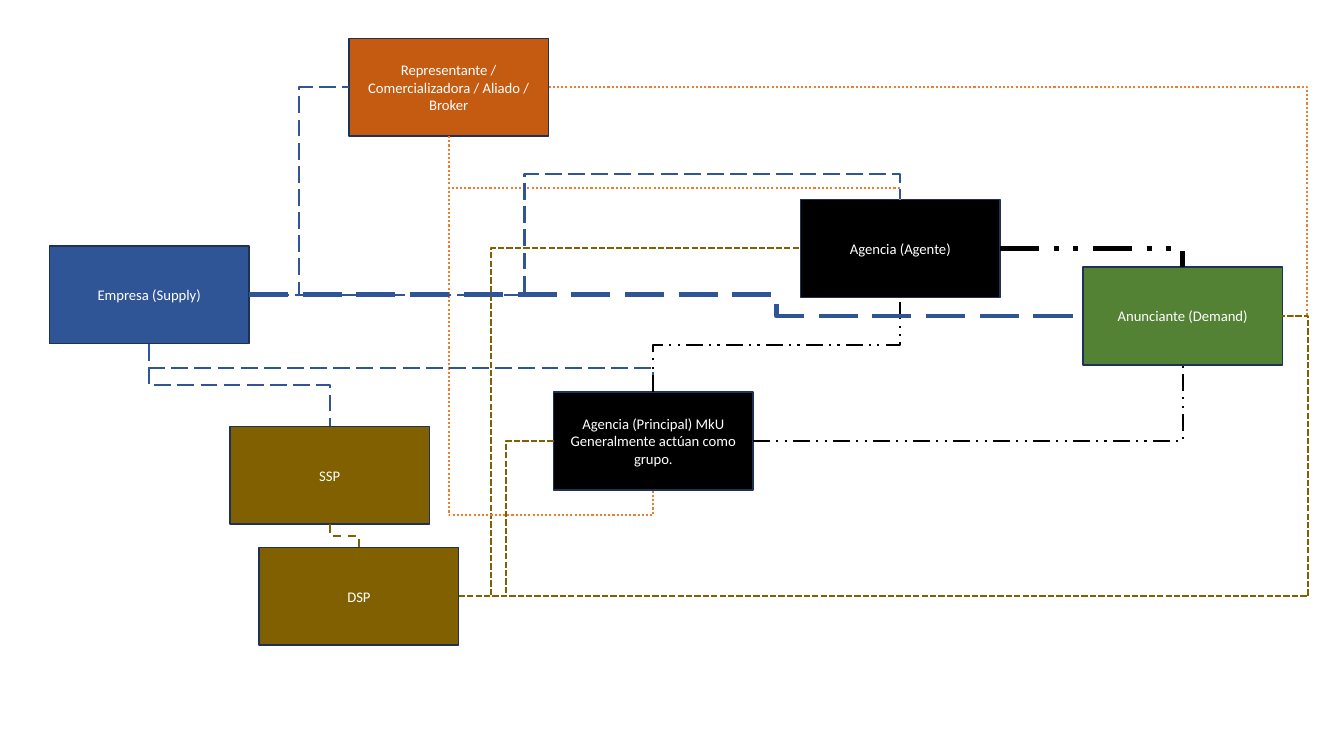
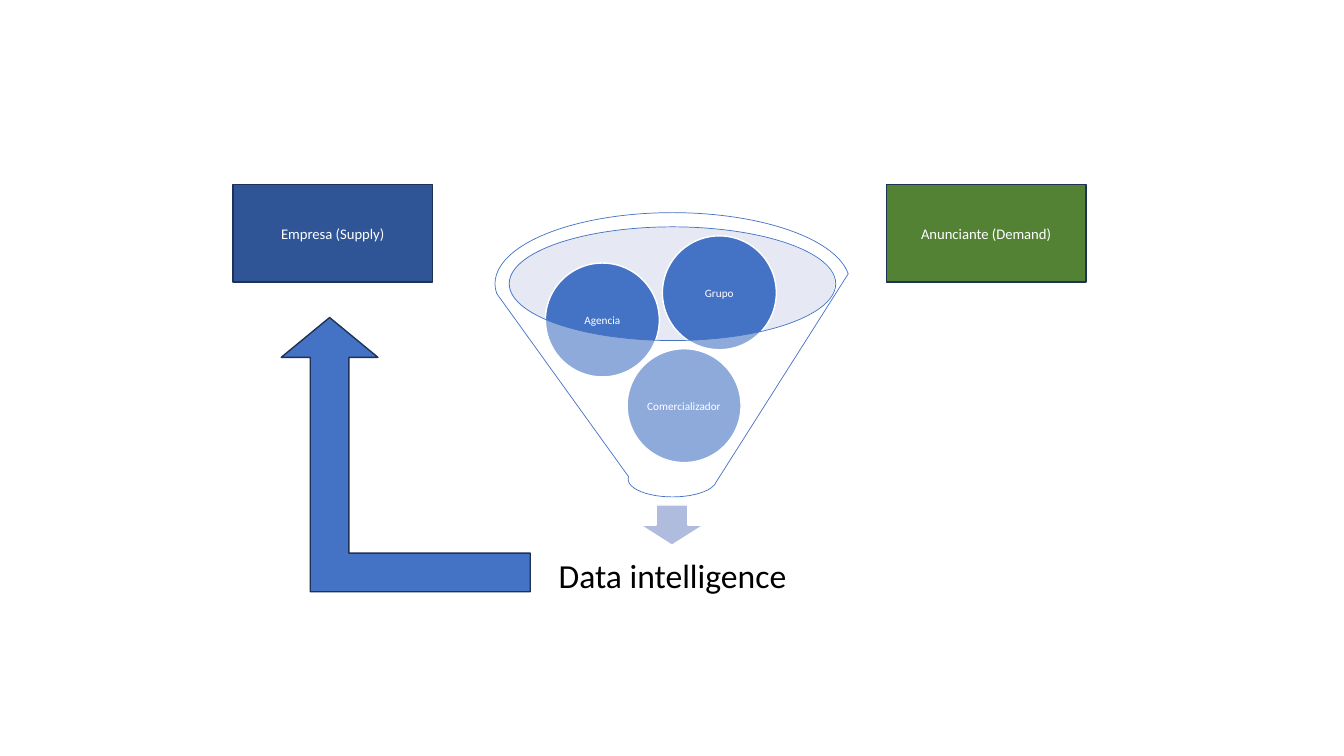
from lxml import etree
from pptx import Presentation
from pptx.dml.color import RGBColor
from pptx.enum import shapes, text
from pptx.oxml import ns
from pptx.util import Inches, Pt

# Shared look
FONT = "Calibri"
SUPPLY, DEMAND, AGENCY = "2F5597", "548235", "000000"
BROKER, BROKER_LINK, PLATFORM = "C55A11", "ED7D31", "806000"
ACCENT, OUTLINE, WHITE = "4472C4", "1E3256", "FFFFFF"
BOX_W, BOX_H = 1.98, 0.97
RECT, OVAL = shapes.MSO_SHAPE.RECTANGLE, shapes.MSO_SHAPE.OVAL
TOP, LEFT, BOTTOM, RIGHT = range(4)
rgb = RGBColor.from_string


def write(part, label, size, color):
    frame = part.text_frame
    frame.text = label
    frame.word_wrap = True
    frame.vertical_anchor = text.MSO_ANCHOR.MIDDLE
    for paragraph in frame.paragraphs:
        paragraph.alignment = text.PP_ALIGN.CENTER
        for run in paragraph.runs:
            run.font.name, run.font.size = FONT, Pt(size)
            run.font.color.rgb = rgb(color)


def add_part(slide, kind, at, fill, line=OUTLINE, line_width=1, alpha=None):
    part = slide.shapes.add_shape(kind, *map(Inches, at))
    part.shadow.inherit = False
    part.fill.solid()
    part.fill.fore_color.rgb = rgb(fill)
    if alpha:
        tint = part._element.spPr.find(".//" + ns.qn("a:srgbClr"))
        etree.SubElement(tint, ns.qn("a:alpha")).set("val", str(alpha * 1000))
    if line:
        part.line.color.rgb = rgb(line)
        part.line.width = Pt(line_width)
    else:
        part.line.fill.background()
    return part


deck = Presentation()
deck.slide_width, deck.slide_height = Inches(13.33), Inches(7.5)
blank = deck.slide_layouts[6]

# Slide 1: who trades with whom
market = deck.slides.add_slide(blank)
actors = {}
for key, label, left, top, fill in [
    ("supply", "Empresa (Supply)", 0.49, 2.44, SUPPLY),
    ("demand", "Anunciante (Demand)", 10.74, 2.65, DEMAND),
    ("agent", "Agencia (Agente)", 7.94, 1.98, AGENCY),
    ("principal", "Agencia (Principal) MkU\nGeneralmente actúan como grupo.",
     5.49, 3.89, AGENCY),
    ("broker", "Representante / Comercializadora / Aliado / Broker",
     3.46, 0.38, BROKER),
    ("ssp", "SSP", 2.28, 4.23, PLATFORM),
    ("dsp", "DSP", 2.57, 5.43, PLATFORM),
]:
    actors[key] = add_part(market, RECT, (left, top, BOX_W, BOX_H), fill)
    write(actors[key], label, 10.5, WHITE)

# Links: start, side, end, side, colour, width, dash, bends in percent of the run
DOTS, SHORT, LONG, MIXED = "sysDot", "sysDash", "lgDash", "lgDashDotDot"
for start, side, end, end_side, color, width, dash, bends in [
    ("broker", RIGHT, "demand", RIGHT, BROKER_LINK, 1.5, DOTS, [103.4]),
    ("dsp", RIGHT, "principal", LEFT, PLATFORM, 1.5, SHORT, [50]),
    ("dsp", RIGHT, "agent", LEFT, PLATFORM, 1.5, SHORT, [9.5]),
    ("dsp", RIGHT, "demand", RIGHT, PLATFORM, 1.5, SHORT, [103.1]),
    ("broker", BOTTOM, "agent", TOP, BROKER_LINK, 1.5, DOTS, [81.6]),
    ("broker", BOTTOM, "principal", BOTTOM, BROKER_LINK, 1.5, DOTS, [107.1]),
    ("supply", RIGHT, "agent", TOP, SUPPLY, 1.5, LONG, [42.3, 126.5]),
    ("supply", BOTTOM, "principal", TOP, SUPPLY, 1.5, LONG, [50]),
    ("principal", RIGHT, "demand", BOTTOM, AGENCY, 1.5, MIXED, []),
    ("agent", RIGHT, "demand", TOP, AGENCY, 3.5, MIXED, []),
    ("supply", RIGHT, "broker", LEFT, SUPPLY, 1.5, LONG, [50]),
    ("supply", BOTTOM, "ssp", TOP, SUPPLY, 1.5, LONG, [50]),
    ("principal", TOP, "agent", BOTTOM, AGENCY, 1.5, MIXED, [50]),
    ("supply", RIGHT, "demand", LEFT, SUPPLY, 3.5, LONG, [63.3]),
    ("ssp", BOTTOM, "dsp", TOP, PLATFORM, 1.5, "dash", [50]),
]:
    link = market.shapes.add_connector(shapes.MSO_CONNECTOR.ELBOW, 0, 0, 0, 0)
    link.begin_connect(actors[start], side)
    link.end_connect(actors[end], end_side)
    link.line.color.rgb = rgb(color)
    link.line.width = Pt(width)
    properties = link._element.spPr
    stroke = properties.find(ns.qn("a:ln"))
    etree.SubElement(stroke, ns.qn("a:prstDash")).set("val", dash)
    etree.SubElement(properties, ns.qn("a:effectLst"))

    # A link that leaves upwards or downwards is a turned elbow
    if side in (TOP, BOTTOM):
        down = link.end_y > link.begin_y
        across, along = link.width, link.height
        link.left += (across - along) // 2
        link.top += (along - across) // 2
        link.width, link.height = along, across
        turn = properties.find(ns.qn("a:xfrm"))
        turn.set("rot", str((270 if down else 90) * 60000))
        turn.set("flipH", "1")
        turn.set("flipV", "0" if down else "1")

    elbow = properties.find(ns.qn("a:prstGeom"))
    elbow.set("prst", f"bentConnector{len(bends) + 2}")
    guides = elbow.find(ns.qn("a:avLst"))
    if guides is None:
        guides = etree.SubElement(elbow, ns.qn("a:avLst"))
    for number, bend in enumerate(bends, 1):
        guide = etree.SubElement(guides, ns.qn("a:gd"))
        guide.set("name", f"adj{number}")
        guide.set("fmla", f"val {round(bend * 1000)}")

# Slide 2: the funnel that feeds data back to supply
funnel_slide = deck.slides.add_slide(blank)
for label, left, fill in [("Empresa (Supply)", 2.31, SUPPLY),
                          ("Anunciante (Demand)", 8.79, DEMAND)]:
    actor = add_part(funnel_slide, RECT, (left, 1.83, BOX_W, BOX_H), fill)
    write(actor, label, 10.5, WHITE)

# Funnel mouth, outlet and result
add_part(funnel_slide, OVAL, (5.04, 2.25, 3.24, 1.13), "C1C9E4", None, alpha=40)
add_part(funnel_slide, shapes.MSO_SHAPE.DOWN_ARROW, (6.35, 5.01, 0.63, 0.4),
         "B0BCDE", WHITE)
result = funnel_slide.shapes.add_textbox(
    Inches(5.16), Inches(5.33), Inches(3.02), Inches(0.75))
write(result, "Data intelligence", 24, "000000")

# Intermediaries inside the funnel
for label, left, top in [("Comercializador", 6.22, 3.46),
                         ("Agencia", 5.41, 2.61), ("Grupo", 6.57, 2.34)]:
    ball = add_part(funnel_slide, OVAL, (left, top, 1.13, 1.13), ACCENT, WHITE)
    write(ball, label, 8, WHITE)
    frame = ball.text_frame
    frame.margin_left = frame.margin_right = Inches(0.01)
    frame.margin_top = frame.margin_bottom = Inches(0.01)

add_part(funnel_slide, shapes.MSO_SHAPE.FUNNEL, (4.91, 2.11, 3.52, 2.82),
         WHITE, ACCENT, 0.5, alpha=40)

# Way back to supply
feedback = add_part(funnel_slide, shapes.MSO_SHAPE.BENT_UP_ARROW,
                    (2.79, 3.15, 2.47, 2.72), ACCENT)
for index, value in enumerate((0.155, 0.194, 0.16)):
    feedback.adjustments[index] = value
feedback._element.spPr.find(ns.qn("a:xfrm")).set("flipH", "1")

deck.save("out.pptx")
